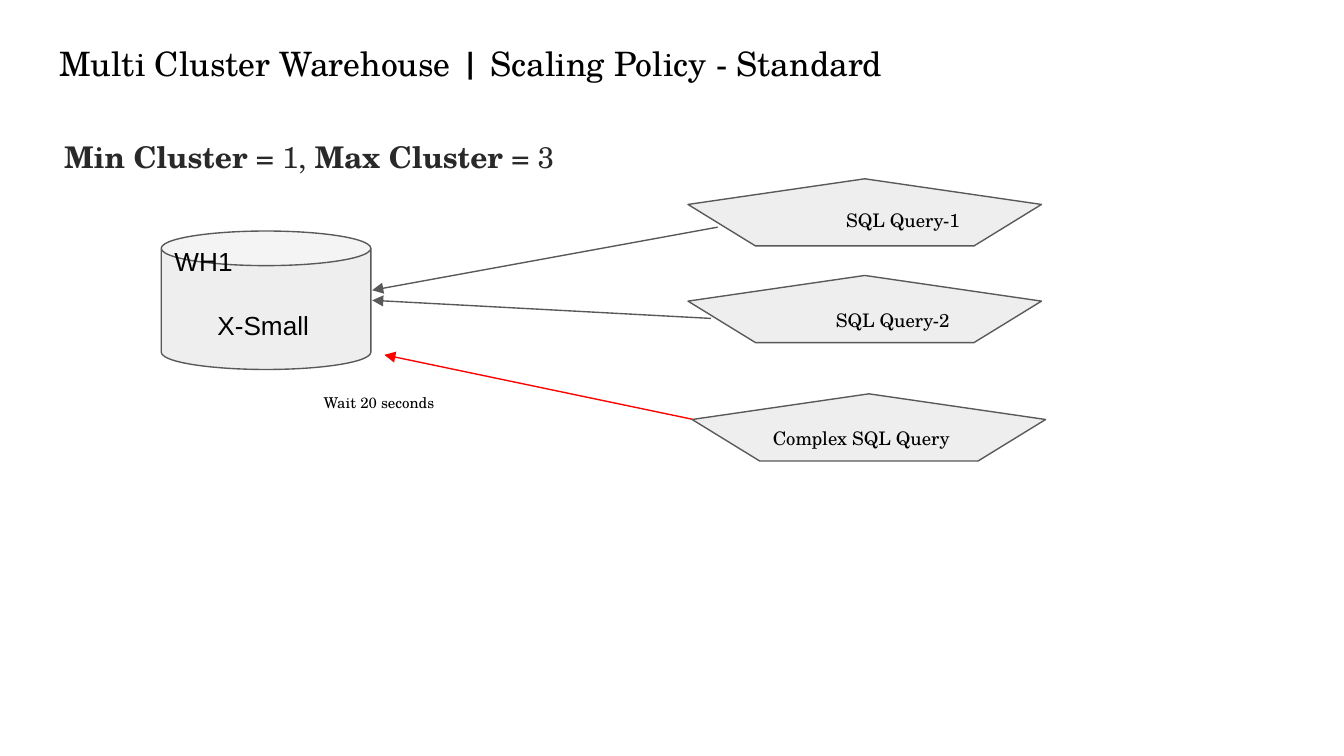
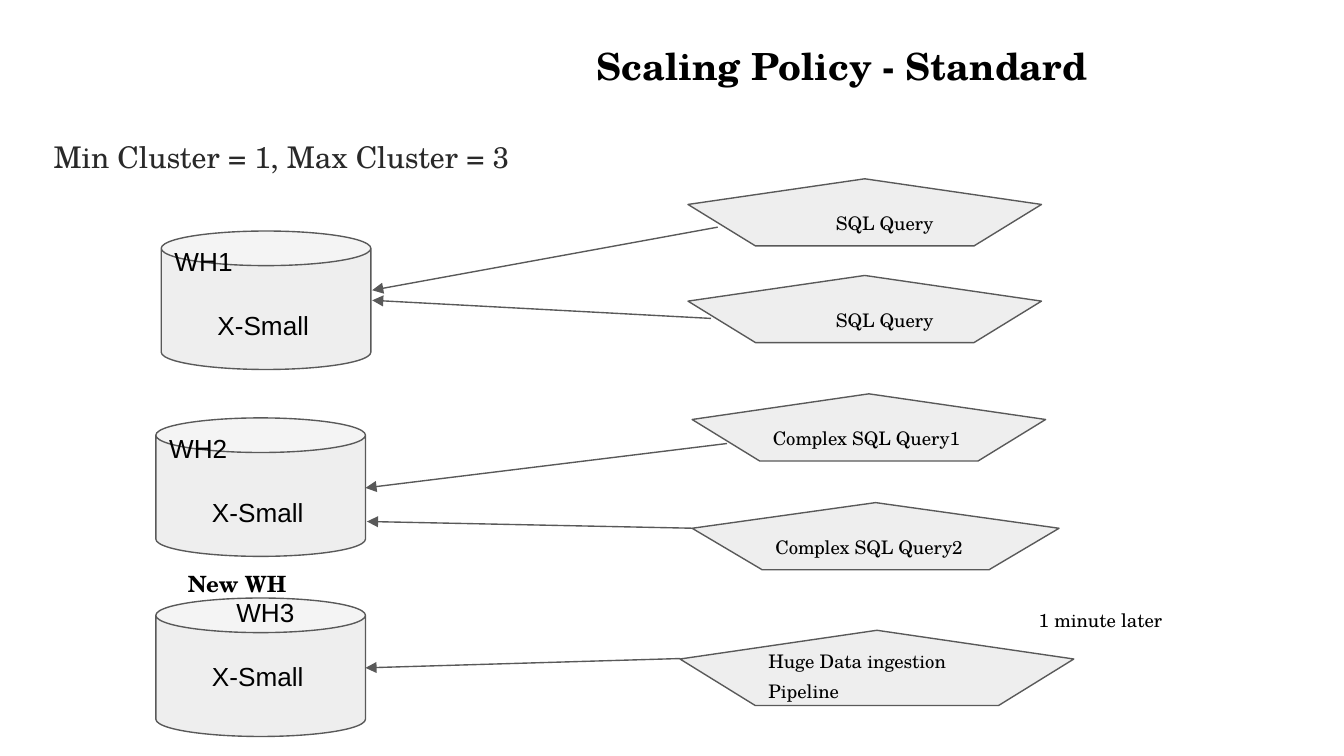
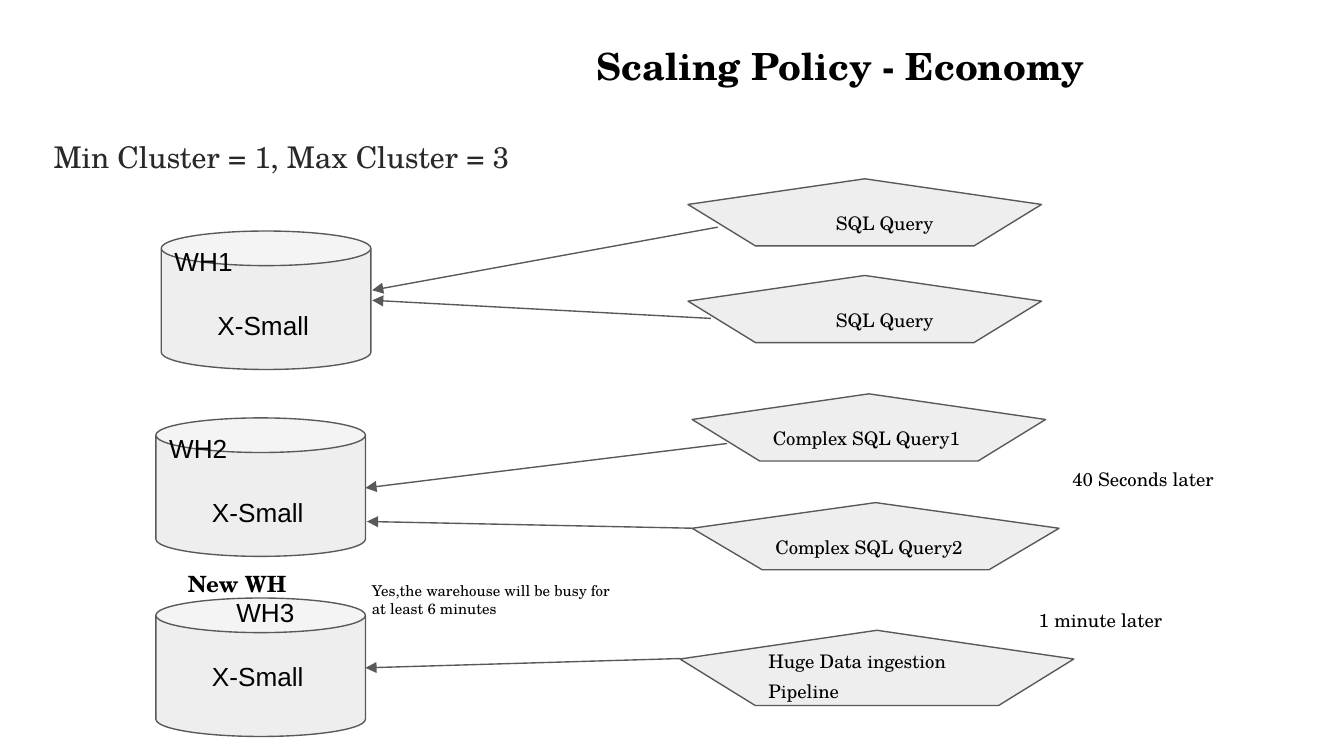
from dataclasses import dataclass

from lxml import etree
from pptx import Presentation
from pptx.dml.color import RGBColor
from pptx.enum import shapes, text
from pptx.oxml import ns
from pptx.util import Pt


@dataclass(frozen=True)
class Theme:
    ink: str = "000000"
    subtitle_ink: str = "292929"
    fill: str = "EEEEEE"
    outline: str = "595959"
    alert: str = "FF0000"
    serif: str = "TeX Gyre Schola"
    sans: str = "Arial"
    hairline: float = 0.75
    inset: float = 7.2
    headline: float = 20
    long_headline: float = 18
    subtitle: float = 16
    warehouse: float = 14
    emphasis: float = 12
    label: float = 10
    note: float = 8


THEME = Theme()
TITLE_BOX = (24.5, 15.8, 671, 45.4)
WAREHOUSE_SIZE = (112.3, 74.2)
WAREHOUSE_GAP = 17.6
SIZE_INDENT = 23
QUERY_SIZE = (189.4, 36)
HALF_INCH = 36

STANDARD_QUERIES = ((368.6, 95.8), (368.6, 147.6))
COMPLEX_QUERY = (370.8, 211)
SIMPLE_ARROWS = (((384.5, 121.7), (199.4, 155.5)), ((380.9, 170.6), (199.4, 160.9)))


def points(values):
    return [Pt(value) for value in values]


def apply(target, formats):
    for name, value in formats.items():
        setattr(target, name, value)


def set_frame(frame, **changes):
    formats = {f"margin_{side}": Pt(THEME.inset) for side in ("left", "right", "top", "bottom")}
    formats |= {"word_wrap": True, "auto_size": text.MSO_AUTO_SIZE.NONE,
                "vertical_anchor": text.MSO_ANCHOR.TOP}
    apply(frame, formats | changes)


def write(paragraph, words, size, font=THEME.serif, color=THEME.ink, bold=False):
    run = paragraph.add_run()
    run.text = words
    apply(run.font, {"name": font, "size": Pt(size), "bold": bold})
    run.font.color.rgb = RGBColor.from_string(color)


def indent(paragraph, left=0, first=0):
    """Set the left margin and first-line indent, in points."""
    properties = paragraph._p.get_or_add_pPr()
    properties.set("marL", str(Pt(left)))
    properties.set("indent", str(Pt(first)))


def add_title(slide, parts, size, left=0):
    """Fill the title from (words, bold) parts."""
    title = slide.shapes.title
    apply(title, dict(zip(("left", "top", "width", "height"), points(TITLE_BOX))))
    set_frame(title.text_frame)
    paragraph = title.text_frame.paragraphs[0]
    paragraph.alignment = text.PP_ALIGN.LEFT
    indent(paragraph, left)
    for words, bold in parts:
        write(paragraph, words, size, bold=bold)


def add_subtitle(slide, left, parts):
    box = slide.shapes.add_textbox(*points((left, 64.1, 680, 36)))
    set_frame(box.text_frame)
    paragraph = box.text_frame.paragraphs[0]
    paragraph.line_spacing = 1.15
    for words, bold in parts:
        write(paragraph, words, THEME.subtitle, color=THEME.subtitle_ink, bold=bold)


def add_note(slide, box, words, size=THEME.label, bold=False):
    note = slide.shapes.add_textbox(*points(box))
    set_frame(note.text_frame, auto_size=text.MSO_AUTO_SIZE.SHAPE_TO_FIT_TEXT)
    write(note.text_frame.paragraphs[0], words, size, bold=bold)


def add_node(slide, kind, position, size):
    """Add a grey outlined shape."""
    node = slide.shapes.add_shape(kind, *points(position + size))
    node.shadow.inherit = False
    node.fill.solid()
    node.fill.fore_color.rgb = RGBColor.from_string(THEME.fill)
    node.line.color.rgb = RGBColor.from_string(THEME.outline)
    node.line.width = Pt(THEME.hairline)
    return node


def add_warehouse(slide, position, name, name_indent=0, lift=6):
    """Draw a warehouse; lift raises its text above the cylinder's base."""
    warehouse = add_node(slide, shapes.MSO_SHAPE.CAN, position, WAREHOUSE_SIZE)
    frame = warehouse.text_frame
    set_frame(frame, vertical_anchor=text.MSO_ANCHOR.BOTTOM, margin_top=0, margin_bottom=Pt(lift))
    name_line, size_line = frame.paragraphs[0], frame.add_paragraph()
    size_line.space_before = Pt(WAREHOUSE_GAP)
    for line, words, left in ((name_line, name, name_indent), (size_line, "X-Small", SIZE_INDENT)):
        line.alignment = text.PP_ALIGN.LEFT
        indent(line, left)
        write(line, words, THEME.warehouse, THEME.sans)


def add_query(slide, position, words, size=QUERY_SIZE, first=0, spaced=True):
    """Draw a query; spaced ends its line with a larger space."""
    query = add_node(slide, shapes.MSO_SHAPE.REGULAR_PENTAGON, position, size)
    set_frame(query.text_frame, vertical_anchor=text.MSO_ANCHOR.MIDDLE)
    paragraph = query.text_frame.paragraphs[0]
    paragraph.alignment = text.PP_ALIGN.LEFT
    indent(paragraph, first=first)
    write(paragraph, words, THEME.label)
    if spaced:
        write(paragraph, " ", THEME.warehouse, THEME.sans)


def add_arrow(slide, start, end, color=THEME.outline):
    arrow = slide.shapes.add_connector(shapes.MSO_CONNECTOR.STRAIGHT, *points(start + end))
    arrow.line.color.rgb = RGBColor.from_string(color)
    arrow.line.width = Pt(THEME.hairline)
    etree.SubElement(arrow.line._get_or_add_ln(), ns.qn("a:tailEnd"), type="triangle")
    etree.SubElement(arrow._element.spPr, ns.qn("a:effectLst"))


def add_first_warehouse(slide):
    add_warehouse(slide, (86.4, 123.8), "WH1")
    for start, end in SIMPLE_ARROWS:
        add_arrow(slide, start, end)


def build_waiting(slide):
    add_title(slide, (("Multi Cluster Warehouse", False), (" | ", True),
                      ("Scaling Policy - Standard", False)), THEME.long_headline)
    add_subtitle(slide, 27.4, (("Min Cluster", True), (" = 1, ", False),
                               ("Max Cluster", True), (" = 3", False)))
    add_query(slide, STANDARD_QUERIES[0], "SQL Query-1", first=41.5, spaced=False)
    add_query(slide, STANDARD_QUERIES[1], "SQL Query-2", first=HALF_INCH)
    add_first_warehouse(slide)
    add_query(slide, COMPLEX_QUERY, "Complex SQL Query")
    add_arrow(slide, (370.8, 224.6), (205.9, 190.1), THEME.alert)
    add_note(slide, (166.3, 205.9, 82.8, 24.5), "Wait 20 seconds", THEME.note)


def build_scaled_out(slide, policy):
    """Show three warehouses sharing the load under a scaling policy."""
    add_title(slide, ((f"Scaling Policy - {policy}", True),), THEME.headline, left=288)
    add_subtitle(slide, 21.6, (("Min Cluster = 1, Max Cluster = 3", False),))
    for position in STANDARD_QUERIES:
        add_query(slide, position, "SQL Query", first=HALF_INCH)
    add_first_warehouse(slide)
    add_warehouse(slide, (83.5, 223.9), "WH2")
    add_warehouse(slide, (83.5, 320.4), "WH3", name_indent=HALF_INCH, lift=14.6)
    add_query(slide, COMPLEX_QUERY, "Complex SQL Query1")
    add_query(slide, (370.8, 269.3), "Complex SQL Query2", (196.6, 36))
    add_query(slide, (364.3, 337.7), "Huge Data ingestion Pipeline", (211, 40.3))
    for start, end in (((389.5, 237.6), (195.8, 261.4)),
                       ((370.8, 283), (196.6, 279.4)),
                       ((364.3, 352.8), (195.8, 357.8))):
        add_arrow(slide, start, end)
    add_note(slide, (549.4, 320.4, 96.5, 26.6), "1 minute later")
    add_note(slide, (93.6, 298.1, 85, 28.8), "New WH", THEME.emphasis, bold=True)


def main():
    deck = Presentation()
    deck.slide_width, deck.slide_height = Pt(720), Pt(405)
    title_only = deck.slide_layouts[5]
    waiting, standard, economy = (deck.slides.add_slide(title_only) for _ in range(3))
    build_waiting(waiting)
    build_scaled_out(standard, "Standard")
    build_scaled_out(economy, "Economy")
    add_note(economy, (567.4, 244.8, 96.5, 26.6), "40 Seconds later")
    add_note(economy, (192.2, 304.6, 146.2, 33.8),
             "Yes,the warehouse will be busy for at least 6 minutes", THEME.note)
    deck.save("out.pptx")


if __name__ == "__main__":
    main()
